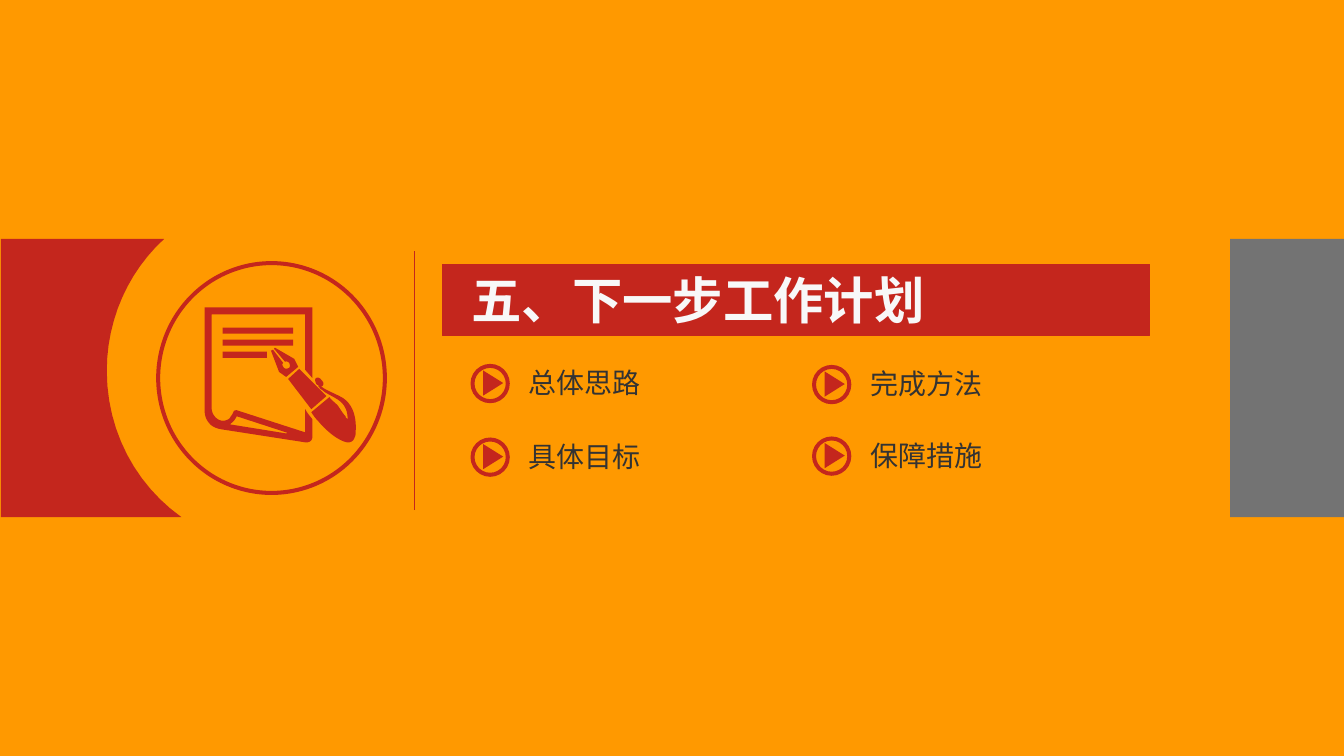
from dataclasses import dataclass

from lxml import etree
from pptx import Presentation
from pptx.dml.color import RGBColor
from pptx.enum.shapes import MSO_CONNECTOR, MSO_SHAPE
from pptx.enum.text import MSO_AUTO_SIZE
from pptx.oxml.ns import qn
from pptx.util import Pt

STRAIGHT = MSO_CONNECTOR.STRAIGHT
RECTANGLE, DONUT = MSO_SHAPE.RECTANGLE, MSO_SHAPE.DONUT
TRIANGLE = MSO_SHAPE.ISOSCELES_TRIANGLE
FIT_SHAPE = MSO_AUTO_SIZE.SHAPE_TO_FIT_TEXT
PX = 9144  # 100 px to the inch
CURVE_STEPS = 12


@dataclass(frozen=True)
class Theme:
    background: RGBColor = RGBColor(0xFF, 0x99, 0x00)
    accent: RGBColor = RGBColor(0xC4, 0x26, 0x1D)
    side: RGBColor = RGBColor(0x73, 0x73, 0x73)
    title: RGBColor = RGBColor(0xF8, 0xF8, 0xF8)
    body: RGBColor = RGBColor(0x33, 0x33, 0x33)
    title_size: int = 36
    body_size: int = 20
    line_width: float = 0.75
    body_font: str = "Arial"
    cjk_font: str = "Noto Sans CJK SC"


THEME = Theme()

# Top-left corner of each agenda marker
AGENDA = [
    ("总体思路", 467, 361),
    ("保障措施", 806, 433),
    ("具体目标", 467, 434),
    ("完成方法", 806, 362),
]

# Outlines: M start, L straight, C curve (two handles and an end)
LEFT_PANEL = ["M 1 237 L 163 237 C 128 269 106 316 106 368 "
              "C 106 428 135 481 180 513 L 1 513"]
PAGE = ("M 203 403 C 203 409 203 414 207 419 C 210 423 214 425 220 426 "
        "L 304 439 C 307 439 310 437 310 434 L 310 416 "
        "C 308 413 305 410 303 406 L 303 429 L 235 407 "
        "C 234 407 233 407 232 408 C 231 411 229 413 228 415 "
        "C 223 419 217 418 213 413 C 210 409 210 406 210 402 "
        "L 210 312 L 303 312 L 303 367 L 310 375 L 310 305 L 203 305")
PAGE_CURL = ("M 228 421 L 284 430 C 285 430 285 429 284 429 "
             "L 235 413 C 233 417 231 419 228 421")
PEN_GRIP = "M 297 366 L 324 393 L 309 406 L 286 376"
PEN_BODY = ("M 352 434 C 353 432 353 431 353 429 C 354 417 352 400 337 393 "
            "C 333 391 324 387 321 385 C 320 384 319 384 319 383 "
            "C 319 383 320 383 320 383 C 322 381 321 379 319 377 "
            "C 318 375 315 374 314 375 C 312 376 313 379 314 381 "
            "C 315 382 315 382 316 382 C 316 383 316 384 317 384 "
            "C 317 385 318 386 320 387 C 323 390 328 392 333 395 "
            "C 342 400 345 407 345 415 C 345 416 345 416 344 415 "
            "C 343 414 343 414 343 413 C 340 410 338 406 335 402 "
            "C 332 399 329 397 327 394 L 309 409 C 311 412 313 415 316 418 "
            "C 326 430 338 438 345 439 C 349 439 351 437 352 434")
PEN_NIB = ("M 292 356 L 273 345 L 272 346 L 283 359 C 284 358 286 359 287 360 "
           "C 288 362 288 364 287 365 C 285 366 283 366 282 365 "
           "C 280 363 280 361 281 360 L 271 347 L 269 348 L 277 369 "
           "L 284 374 L 296 364")
PAGE_LINES = [f"M 221 {y} L {right} {y} L {right} {y + 6} L 221 {y + 6}"
              for y, right in ((349, 265), (337, 291), (325, 291))]


def emu(*lengths):
    return [length * PX for length in lengths]


def paint(shape, color):
    shape.shadow.inherit = False
    shape.fill.solid()
    shape.fill.fore_color.rgb = color
    shape.line.fill.background()
    return shape


def add_solid(shapes, kind, box, color):
    return paint(shapes.add_shape(kind, *emu(*box)), color)


def add_ring(shapes, box, thickness):
    ring = add_solid(shapes, DONUT, box, THEME.accent)
    ring.adjustments[0] = thickness / min(box[2:])


def trace(outline):
    """Turn one outline into a list of points in EMU."""
    tokens = outline.split()
    points, i = [], 0
    while i < len(tokens):
        count = 6 if tokens[i] == "C" else 2
        values = emu(*map(int, tokens[i + 1:i + 1 + count]))
        pairs = list(zip(values[::2], values[1::2]))
        if count == 2:
            points += pairs
        else:
            curve = [points[-1], *pairs]
            for step in range(1, CURVE_STEPS + 1):
                t = step / CURVE_STEPS
                weights = ((1 - t) ** 3, 3 * t * (1 - t) ** 2,
                           3 * t * t * (1 - t), t ** 3)
                points.append(tuple(
                    sum(w * p[axis] for w, p in zip(weights, curve))
                    for axis in (0, 1)))
        i += count + 1
    return points


def add_outline(shapes, outlines, color):
    first, *others = map(trace, outlines)
    builder = shapes.build_freeform(*first[0])
    builder.add_line_segments(first[1:], close=True)
    for points in others:
        builder.move_to(*points[0])
        builder.add_line_segments(points[1:], close=True)
    paint(builder.convert_to_shape(), color)


def add_label(shapes, text, box, size, font_name, color, bold=False, wrap=True):
    frame = shapes.add_textbox(*emu(*box)).text_frame
    frame.word_wrap = wrap
    frame.auto_size = FIT_SHAPE
    run = frame.paragraphs[0].add_run()
    run.text = text
    font = run.font
    font.size, font.name, font.bold = Pt(size), font_name, bold
    font.color.rgb = color
    east_asian = etree.SubElement(run._r.get_or_add_rPr(), qn("a:ea"))
    east_asian.set("typeface", THEME.cjk_font)


def add_divider(shapes, x, top, bottom):
    divider = shapes.add_connector(STRAIGHT, *emu(x, bottom, x, top))
    divider.line.color.rgb = THEME.accent
    divider.line.width = Pt(THEME.line_width)
    etree.SubElement(divider._element.spPr, qn("a:effectLst"))


def add_agenda_item(shapes, text, left, top):
    item = shapes.add_group_shape().shapes
    add_ring(item, (left, top, 39, 39), 4)
    arrow = add_solid(item, TRIANGLE, (left + 10, top + 9, 25, 20), THEME.accent)
    arrow.rotation = 90
    add_label(item, text, (left + 48, top - 3, 132, 44), THEME.body_size,
              THEME.body_font, THEME.body, wrap=False)


def main():
    prs = Presentation()
    prs.slide_width, prs.slide_height = emu(1334, 750)
    slide = prs.slides.add_slide(prs.slide_layouts[6])
    slide.background.fill.solid()
    slide.background.fill.fore_color.rgb = THEME.background
    shapes = slide.shapes

    # Title bar
    bar = add_solid(shapes, RECTANGLE, (439, 262, 702, 71), THEME.accent)
    bar.line.color.rgb = THEME.accent
    bar.line.width = Pt(THEME.line_width)
    add_label(shapes, "五、下一步工作计划", (458, 262, 591, 71),
              THEME.title_size, THEME.cjk_font, THEME.title, bold=True)

    # Divider and side panels
    add_divider(shapes, 411, 249, 506)
    add_outline(shapes, LEFT_PANEL, THEME.accent)
    add_solid(shapes, RECTANGLE, (1221, 237, 113, 276), THEME.side)

    # Agenda
    for text, left, top in AGENDA:
        add_agenda_item(shapes, text, left, top)

    # Page and pen badge
    badge = shapes.add_group_shape().shapes
    add_ring(badge, (155, 259, 229, 232), 4)
    add_outline(badge, [*PAGE_LINES, PAGE, PAGE_CURL, PEN_GRIP, PEN_BODY, PEN_NIB],
                THEME.accent)

    prs.save("out.pptx")


if __name__ == "__main__":
    main()
